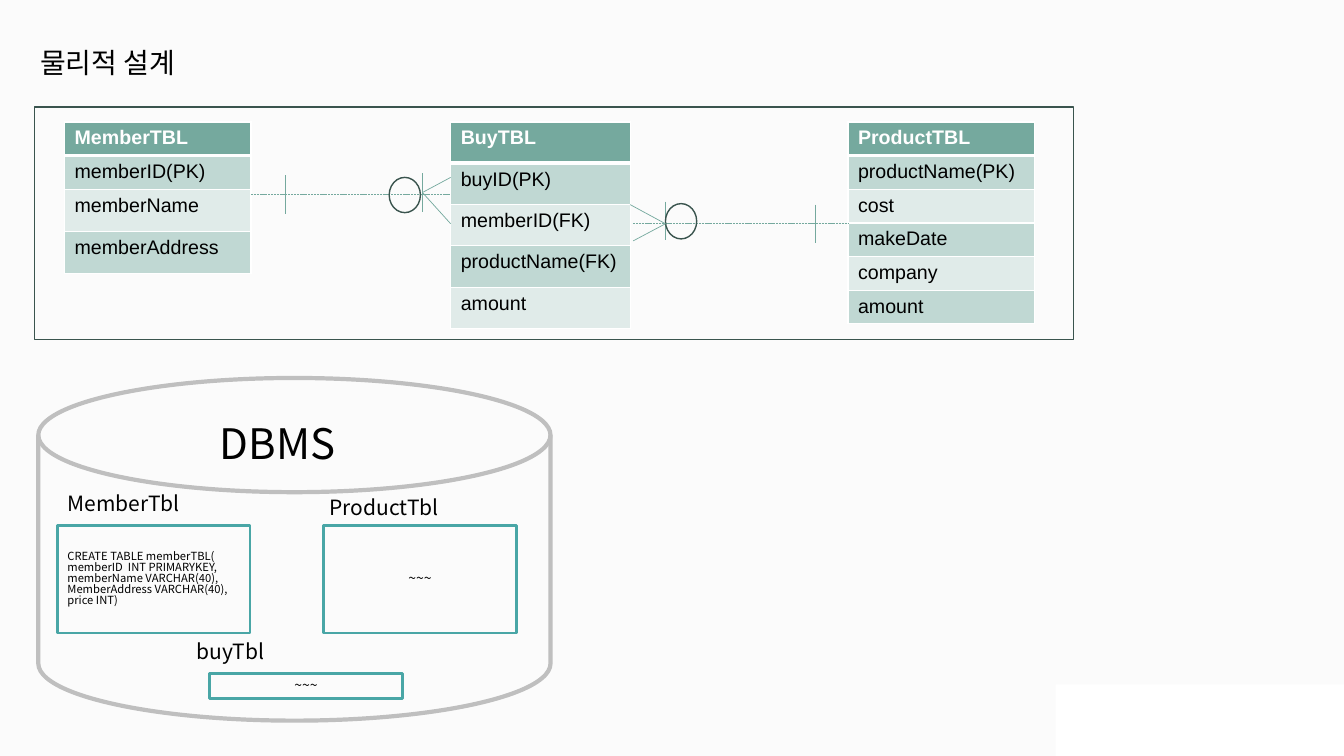
from lxml.etree import SubElement
from pptx import Presentation
from pptx.dml.color import RGBColor
from pptx.enum.dml import MSO_LINE
from pptx.enum.shapes import MSO_CONNECTOR, MSO_SHAPE
from pptx.enum.text import MSO_ANCHOR, PP_ALIGN
from pptx.oxml.ns import qn
from pptx.util import Pt

PX = 9144  # 100 px to the inch
KOREAN_FONT = "Noto Sans CJK KR"
TABLE_FONT = "Arial"

BACKGROUND = RGBColor(0xFB, 0xFB, 0xFB)
WHITE = RGBColor(0xFF, 0xFF, 0xFF)
BLACK = RGBColor(0x00, 0x00, 0x00)
GRAY = RGBColor(0xBF, 0xBF, 0xBF)
TEAL = RGBColor(0x49, 0xA6, 0xA6)
DARK_GREEN = RGBColor(0x3A, 0x54, 0x4E)
GREEN = RGBColor(0x75, 0xA9, 0x9E)
BANDS = [RGBColor(0xC0, 0xD8, 0xD3), RGBColor(0xE0, 0xEB, 0xE9)]

CREATE_MEMBER = [
    "CREATE TABLE memberTBL(",
    "memberID  INT PRIMARYKEY,",
    "memberName VARCHAR(40),",
    "MemberAddress VARCHAR(40),",
    "price INT)",
]


def emu(*lengths):
    return [length * PX for length in lengths]


def write(frame, lines, size, align=PP_ALIGN.LEFT):
    frame.word_wrap = True
    for index, line in enumerate(lines):
        para = frame.paragraphs[0] if index == 0 else frame.add_paragraph()
        para.text = line
        para.alignment = align
        para.line_spacing = LINE_SPACING
        para.font.size = Pt(size)
        para.font.name = KOREAN_FONT
        para.font.color.rgb = BLACK
        for span in para.runs:
            east_asian = SubElement(span.font._element, qn("a:ea"))
            east_asian.set("typeface", KOREAN_FONT)


LINE_SPACING = 0.83


def add_outline(page, kind, place, color, width):
    shape = page.shapes.add_shape(kind, *emu(*place))
    shape.shadow.inherit = False
    shape.fill.background()
    shape.line.color.rgb = color
    shape.line.width = Pt(width)
    return shape


def add_code_box(page, place, lines, size, align):
    box = add_outline(page, MSO_SHAPE.RECTANGLE, place, TEAL, 2)
    box.text_frame.vertical_anchor = MSO_ANCHOR.MIDDLE
    write(box.text_frame, lines, size, align)


def add_label(page, place, text, size):
    box = page.shapes.add_textbox(*emu(*place))
    write(box.text_frame, [text], size)


def add_line(page, start, end, dashed=False):
    line = page.shapes.add_connector(MSO_CONNECTOR.STRAIGHT, *emu(*start, *end))
    line.line.color.rgb = GREEN
    line.line.width = Pt(0.5)
    if dashed:
        line.line.dash_style = MSO_LINE.SQUARE_DOT
    SubElement(line._element.spPr, qn("a:effectLst"))


def set_borders(cell, bottom):
    """Draw white cell borders, 1 pt except for the bottom one; call before the fill."""
    properties = cell._tc.get_or_add_tcPr()
    for side, width in (("L", 1), ("R", 1), ("T", 1), ("B", bottom)):
        border = SubElement(properties, qn(f"a:ln{side}"), w=str(Pt(width)))
        fill = SubElement(border, qn("a:solidFill"))
        SubElement(fill, qn("a:srgbClr"), val=str(WHITE))


def add_entity(page, left, width, heights, names):
    """Add a one-column table: the entity name above its banded fields."""
    place = emu(left, 121, width, sum(heights))
    table = page.shapes.add_table(len(names), 1, *place).table
    for index, (name, height) in enumerate(zip(names, heights)):
        header = index == 0
        table.rows[index].height = height * PX
        cell = table.cell(index, 0)
        set_borders(cell, 3 if header else 1)
        cell.fill.solid()
        cell.fill.fore_color.rgb = GREEN if header else BANDS[(index - 1) % 2]
        cell.text = name
        font = cell.text_frame.paragraphs[0].font
        font.name = TABLE_FONT
        font.size = Pt(14)
        font.bold = header
        font.color.rgb = WHITE if header else BLACK


def add_relations(page):
    add_line(page, (249, 193), (446, 193), dashed=True)
    add_line(page, (628, 222), (841, 222), dashed=True)
    for x, top in ((283, 174), (419, 172), (660, 200), (809, 203)):
        add_line(page, (x, top), (x, top + 38))
    for left, top in ((386, 176), (660, 202)):
        add_outline(page, MSO_SHAPE.OVAL, (left, top, 31, 35), DARK_GREEN, 1)
    for tip, ends in (
        ((660, 222), ((625, 203), (628, 239))),
        ((419, 191), ((447, 176), (447, 222))),
    ):
        for end in ends:
            add_line(page, tip, end)


def add_database(page):
    add_outline(page, MSO_SHAPE.FLOWCHART_MAGNETIC_DISK, (38, 375, 508, 340), GRAY, 3)
    add_code_box(page, (57, 521, 191, 107), CREATE_MEMBER, 8, PP_ALIGN.LEFT)
    add_code_box(page, (321, 521, 191, 107), ["~~~"], 10, PP_ALIGN.CENTER)
    add_code_box(page, (208, 668, 191, 25), ["~~~"], 10, PP_ALIGN.CENTER)
    add_label(page, (57, 486, 242, 35), "MemberTbl", 15)
    add_label(page, (208, 418, 266, 60), "DBMS", 30)
    add_label(page, (317, 490, 242, 35), "ProductTbl", 15)
    add_label(page, (185, 633, 381, 35), "buyTbl", 15)


def main():
    deck = Presentation()
    deck.slide_width, deck.slide_height = emu(1333, 750)
    page = deck.slides.add_slide(deck.slide_layouts[6])
    page.background.fill.solid()
    page.background.fill.fore_color.rgb = BACKGROUND

    add_database(page)
    add_entity(page, 64, 185, [24, 24, 42, 42],
               ["MemberTBL", "memberID(PK)", "memberName", "memberAddress"])
    add_entity(page, 841, 185, [24, 24, 31, 31, 31, 31],
               ["ProductTBL", "productName(PK)", "cost", "makeDate", "company", "amount"])
    add_entity(page, 447, 178, [41] * 5,
               ["BuyTBL", "buyID(PK)", "memberID(FK)", "productName(FK)", "amount"])
    add_outline(page, MSO_SHAPE.RECTANGLE, (34, 106, 1031, 231), DARK_GREEN, 1)
    add_label(page, (30, 46, 506, 43), "물리적 설계", 20)
    add_relations(page)

    corner = add_outline(page, MSO_SHAPE.RECTANGLE, (1047, 679, 286, 71), WHITE, 1)
    corner.fill.solid()
    corner.fill.fore_color.rgb = WHITE
    corner.line.fill.background()

    deck.save("out.pptx")


if __name__ == "__main__":
    main()
